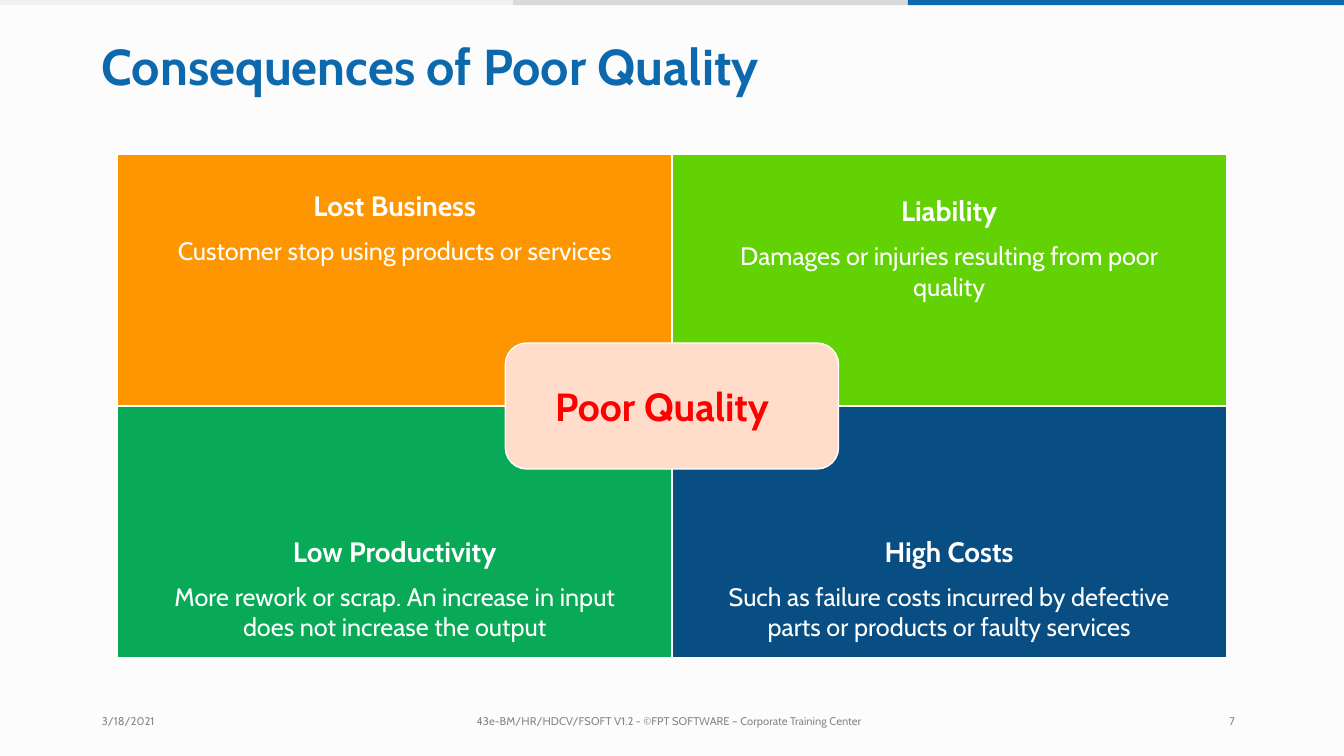
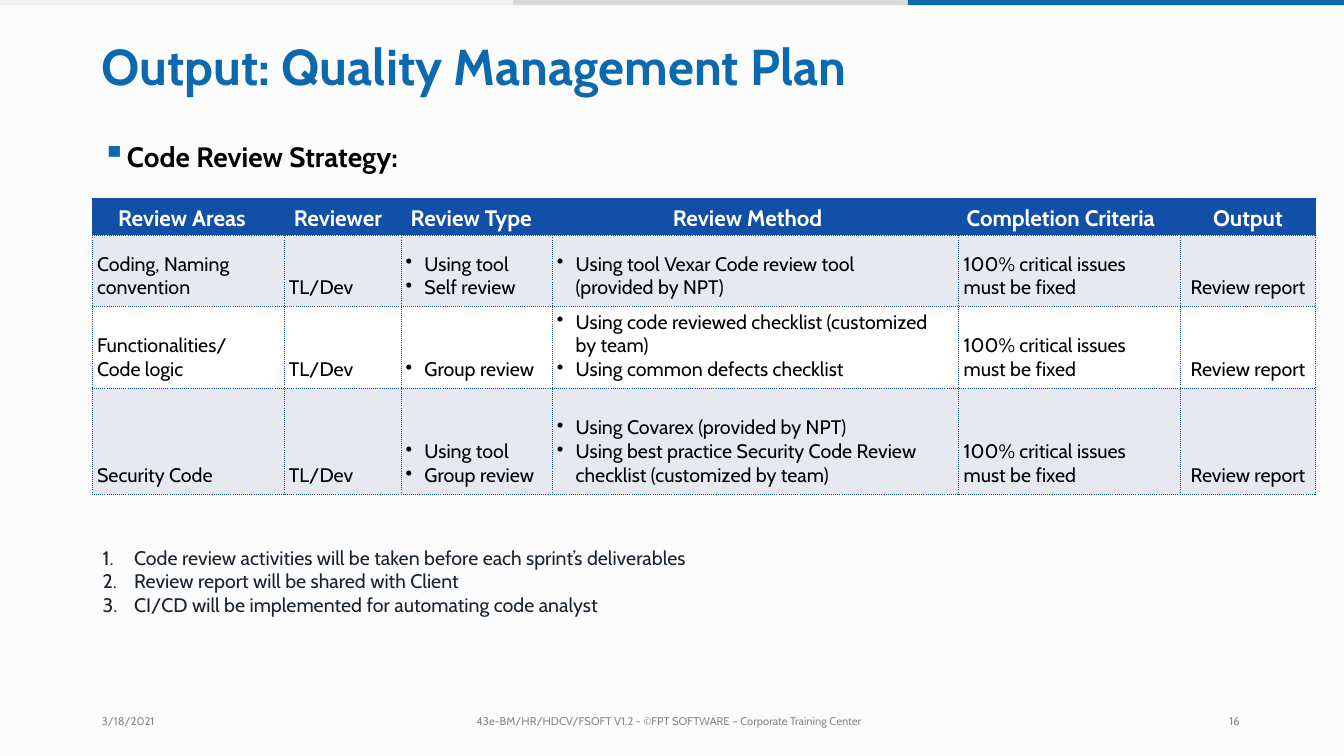
import pptx
import pptx.dml.color
import pptx.enum.shapes
import pptx.enum.text
import pptx.oxml.ns
import pptx.util
from lxml import etree

Pt = pptx.util.Pt
SHAPE = pptx.enum.shapes.MSO_SHAPE
ALIGN = pptx.enum.text.PP_ALIGN
ANCHOR = pptx.enum.text.MSO_ANCHOR

FONT = "Cabin"
PAPER, WHITE, BLACK = "FCFCFC", "FFFFFF", "000000"
BLUE, GREY, LIGHT = "0D69AE", "D9D9D9", "F1F1F1"
MUTED, INK, RED, PEACH = "888888", "18232E", "FF0000", "FFDDCA"
HEAD, RULE, STRIPE = "124FA6", "124DA2", "E7E9F0"
WIDE, HIGH, LEFT = 960, 540, 72.7
FOOT = "43e-BM/HR/HDCV/FSOFT V1.2 - ©FPT SOFTWARE – Corporate Training Center"

PANES = [
    ("FD9600", ANCHOR.TOP, 24.5, "Lost Business", "Customer stop using products or services"),
    ("62D204", ANCHOR.TOP, 28.5, "Liability", "Damages or injuries resulting from poor\vquality"),
    ("08AA57", ANCHOR.BOTTOM, 11.5, "Low Productivity",
     "More rework or scrap. An increase in input\vdoes not increase the output"),
    ("094E83", ANCHOR.BOTTOM, 11.5, "High Costs",
     "Such as failure costs incurred by defective\vparts or products or faulty services"),
]

COLS = [137, 83.5, 108, 290.5, 158.5, 96.5]
ROWS = [26.5, 51, 58.5, 75.5]
HEADS = [("Review Areas", 18.7), ("Reviewer", 7.2), ("Review Type", 7.2),
         ("Review Method", 86.5), ("Completion Criteria", 5.8), ("Output", 0)]
FIXED = ["100% critical issues\vmust be fixed"]
REPORT = ["Review report"]
BODY = [
    [["Coding, Naming\vconvention"], ["TL/Dev"], ["Using tool", "Self review"],
     ["Using tool Vexar Code review tool\v(provided by NPT)"], FIXED, REPORT],
    [["Functionalities/\vCode logic"], ["TL/Dev"], ["Group review"],
     ["Using code reviewed checklist (customized\vby team)",
      "Using common defects checklist"], FIXED, REPORT],
    [["Security Code"], ["TL/Dev"], ["Using tool", "Group review"],
     ["Using Covarex (provided by NPT)",
      "Using best practice Security Code Review\vchecklist (customized by team)"],
     FIXED, REPORT],
]
NOTES = ["Code review activities will be taken before each sprint’s deliverables",
         "Review report will be shared with Client",
         "CI/CD will be implemented for automating code analyst"]


def tint(code):
    """Turn a hex string into a colour."""
    return pptx.dml.color.RGBColor.from_string(code)


def child(node, tag, **attrs):
    """Append a drawing element to a node."""
    return etree.SubElement(node, pptx.oxml.ns.qn(tag), attrs)


def write(para, text, size, color, bold=False):
    """Add the lines of a text as styled runs."""
    for i, line in enumerate(text.split("\v")):
        if i:
            para.add_line_break()
        run = para.add_run()
        run.text = line
        run.font.name, run.font.size, run.font.bold = FONT, Pt(size), bold
        run.font.color.rgb = tint(color)


def fill(frame, lines, size, color, bold=False):
    """Write each line as a paragraph of a frame and return the paragraphs."""
    paras = []
    for i, line in enumerate(lines):
        para = frame.add_paragraph() if i else frame.paragraphs[0]
        write(para, line, size, color, bold)
        paras.append(para)
    return paras


def inset(item, left=0, top=0, right=0, base=0):
    """Set the inner margins of a frame or cell."""
    item.margin_left, item.margin_top = Pt(left), Pt(top)
    item.margin_right, item.margin_bottom = Pt(right), Pt(base)


def mark(para, left, hang, char=None, color=None, scale=None):
    """Give a paragraph a hanging bullet, or a number if no sign is given."""
    props = para._p.get_or_add_pPr()
    props.set("marL", str(int(Pt(left))))
    props.set("indent", str(-int(Pt(hang))))
    if color:
        child(child(props, "a:buClr"), "a:srgbClr", val=color)
    if scale:
        child(props, "a:buSzPct", val=str(scale * 1000))
    if char:
        child(props, "a:buChar", char=char)
    else:
        child(props, "a:buAutoNum", type="arabicPeriod")


def label(slide, box, lines, size, color, bold=False):
    """Place a text box without margins and return its paragraphs."""
    frame = slide.shapes.add_textbox(*map(Pt, box)).text_frame
    frame.word_wrap = True
    inset(frame)
    return fill(frame, lines, size, color, bold)


def block(slide, kind, box, color, line=None):
    """Draw a flat filled shape."""
    shape = slide.shapes.add_shape(kind, *map(Pt, box))
    shape.shadow.inherit = False
    shape.fill.solid()
    shape.fill.fore_color.rgb = tint(color)
    if line:
        shape.line.color.rgb = tint(line)
        shape.line.width = Pt(0.96)
    else:
        shape.line.fill.background()
    return shape


def base(deck, title, page):
    """Add a slide with the shared bands, title and footer."""
    slide = deck.slides.add_slide(deck.slide_layouts[6])
    slide.background.fill.solid()
    slide.background.fill.fore_color.rgb = tint(PAPER)
    for start, end, color in ((0, 366.5, LIGHT), (366.5, 648.5, GREY), (648.5, WIDE, BLUE)):
        block(slide, SHAPE.RECTANGLE, (start, 0, end - start, 3.8), color)
    label(slide, (LEFT, 25.2, 806, 45), [title], 36, BLUE, True)
    for left, width, text in ((LEFT, 60, "3/18/2021"), (340.5, 300, FOOT), (878.2, 20, page)):
        label(slide, (left, 509.9, width, 12), [text], 8, MUTED)
    return slide


def matrix(slide, box):
    """Draw four coloured panes with a plate over their middle."""
    left, top, width, height = box
    wide, high = width / 2, height / 2
    for i, (color, anchor, gap, head, text) in enumerate(PANES):
        row, col = divmod(i, 2)
        pane = block(slide, SHAPE.RECTANGLE,
                     (left + col * wide, top + row * high, wide, high), color, WHITE)
        frame = pane.text_frame
        frame.word_wrap, frame.vertical_anchor = True, anchor
        inset(frame, 20, gap, 20, gap)
        first = frame.paragraphs[0]
        write(first, head, 20, WHITE, True)
        second = frame.add_paragraph()
        write(second, text, 18, WHITE)
        second.space_before = Pt(9.4)
        first.alignment = second.alignment = ALIGN.CENTER
    plate = block(slide, SHAPE.ROUNDED_RECTANGLE,
                  (left + wide - 119, top + high - 45, 238, 90), PEACH, WHITE)
    plate.adjustments[0] = 0.17
    frame = plate.text_frame
    frame.vertical_anchor = ANCHOR.MIDDLE
    inset(frame, 31)
    fill(frame, ["Poor Quality"], 28, RED, True)[0].alignment = ALIGN.LEFT


def paint(cell, color):
    """Give a cell dotted borders and a fill."""
    props = cell._tc.get_or_add_tcPr()
    for side in "LRTB":
        line = child(props, "a:ln" + side, w=str(int(Pt(0.25))))
        child(child(line, "a:solidFill"), "a:srgbClr", val=RULE)
        child(line, "a:prstDash", val="sysDot")
    cell.fill.solid()
    cell.fill.fore_color.rgb = tint(color)


def grid(slide, left, top):
    """Build the review table."""
    box = (left, top, sum(COLS), sum(ROWS))
    table = slide.shapes.add_table(len(ROWS), len(COLS), *map(Pt, box)).table
    table.first_row = table.horz_banding = False
    for col, width in zip(table.columns, COLS):
        col.width = Pt(width)
    for row, height in zip(table.rows, ROWS):
        row.height = Pt(height)
    last = len(COLS) - 1
    for c, (text, indent) in enumerate(HEADS):
        cell = table.cell(0, c)
        inset(cell, indent, 5)
        paint(cell, HEAD)
        para = fill(cell.text_frame, [text], 16, WHITE, True)[0]
        para.alignment = ALIGN.CENTER if c == last else ALIGN.LEFT
    for r, row in enumerate(BODY, 1):
        for c, lines in enumerate(row):
            cell = table.cell(r, c)
            cell.vertical_anchor = ANCHOR.BOTTOM
            inset(cell, 0 if c in (2, 3, last) else 3.6, base=4.5)
            paint(cell, STRIPE if r % 2 else WHITE)
            for para in fill(cell.text_frame, lines, 14, BLACK):
                if c in (2, 3):
                    mark(para, 17, 13.5, "•")
                elif c == last:
                    para.alignment = ALIGN.CENTER


def plan(slide):
    """Place the heading, table and numbered notes of the plan."""
    head = label(slide, (72, 99.4, 300, 26), ["Code Review Strategy:"], 20, BLACK, True)[0]
    mark(head, 18.7, 18, "▪", BLUE, 120)
    grid(slide, 65.7, 141.2)
    for para in label(slide, (72, 389.7, 440, 52), NOTES, 14, INK):
        mark(para, 23.8, 22.5)


def main():
    """Build and save the deck."""
    deck = pptx.Presentation()
    deck.slide_width, deck.slide_height = Pt(WIDE), Pt(HIGH)
    matrix(base(deck, "Consequences of Poor Quality", "7"), (84, 110, 792, 360))
    plan(base(deck, "Output: Quality Management Plan", "16"))
    deck.save("out.pptx")


if __name__ == "__main__":
    main()
